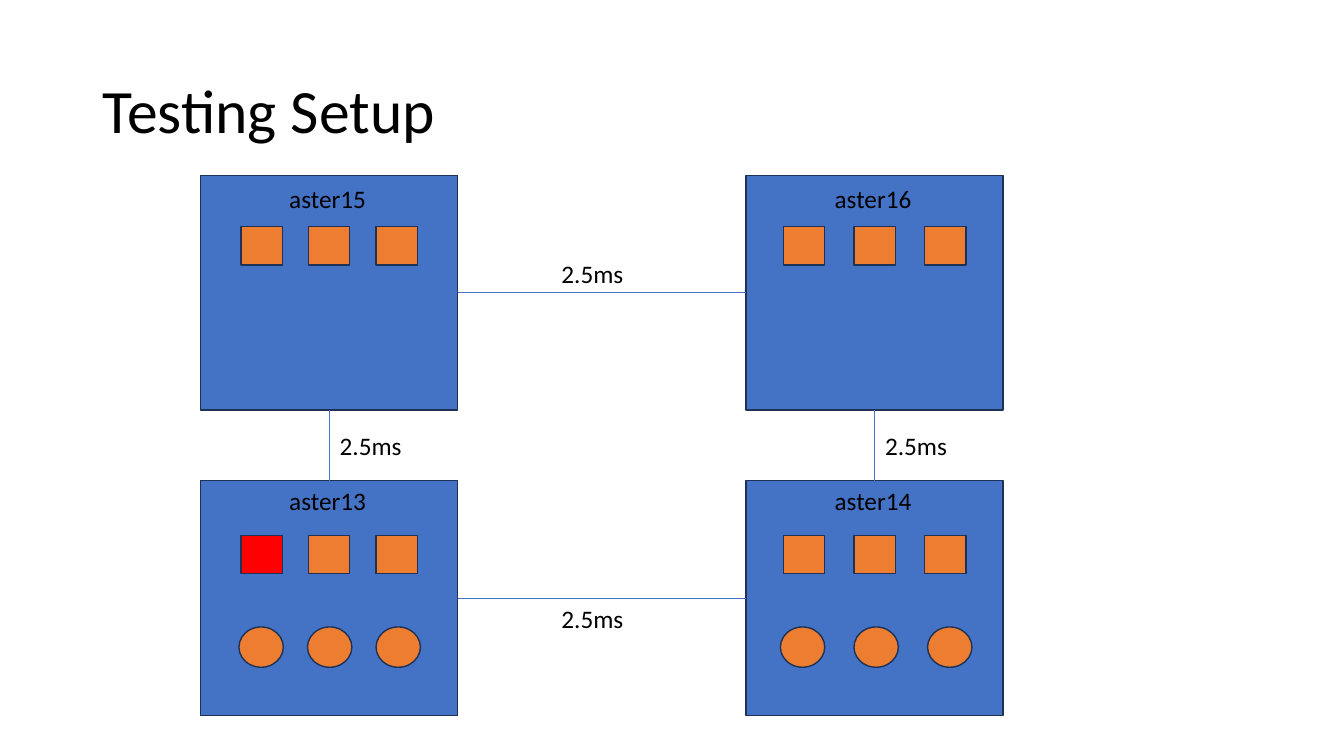
from pptx import Presentation
from pptx.dml.color import RGBColor
from pptx.enum.shapes import MSO_CONNECTOR, MSO_SHAPE
from pptx.enum.text import MSO_ANCHOR, MSO_AUTO_SIZE
from pptx.oxml.ns import qn
from pptx.util import Inches, Pt
from lxml.etree import SubElement

BLACK = RGBColor(0x00, 0x00, 0x00)
BLUE = RGBColor(0x44, 0x72, 0xC4)
NAVY = RGBColor(0x1E, 0x32, 0x56)
ORANGE = RGBColor(0xED, 0x7D, 0x31)
RED = RGBColor(0xFF, 0x00, 0x00)


class Diagram:
    font = "Calibri"

    def __init__(self, page):
        self.page = page

    def text(self, words, left, top, width=0.99, height=0.4, size=18):
        box = self.page.shapes.add_textbox(
            Inches(left), Inches(top), Inches(width), Inches(height))
        box.text_frame.word_wrap = True
        para = box.text_frame.paragraphs[0]
        para.text = words
        para.font.name = self.font
        para.font.size = Pt(size)
        para.font.color.rgb = BLACK
        return box

    def title(self, words):
        box = self.text(words, 0.92, 0.4, 11.5, 1.45, 44)
        box.text_frame.vertical_anchor = MSO_ANCHOR.MIDDLE
        box.text_frame.paragraphs[0].line_spacing = 0.9

    def label(self, words, left, top):
        box = self.text(words, left, top)
        box.text_frame.auto_size = MSO_AUTO_SIZE.SHAPE_TO_FIT_TEXT

    def shape(self, kind, left, top, width, height, fill):
        shape = self.page.shapes.add_shape(
            kind, Inches(left), Inches(top), Inches(width), Inches(height))
        shape.shadow.inherit = False
        shape.fill.solid()
        shape.fill.fore_color.rgb = fill
        shape.line.color.rgb = NAVY
        shape.line.width = Pt(1)
        return shape

    def row(self, kind, left, step, top, width, height, fills):
        for index, fill in enumerate(fills):
            self.shape(kind, left + index * step, top, width, height, fill)

    def link(self, start, start_site, end, end_site):
        line = self.page.shapes.add_connector(MSO_CONNECTOR.STRAIGHT, 0, 0, 0, 0)
        line.begin_connect(start, start_site)
        line.end_connect(end, end_site)
        line.line.color.rgb = BLUE
        line.line.width = Pt(0.5)
        SubElement(line._element.spPr, qn("a:effectLst"))


deck = Presentation()
deck.slide_width = Inches(13.33)
deck.slide_height = Inches(7.5)
diagram = Diagram(deck.slides.add_slide(deck.slide_layouts[6]))

diagram.title("Testing Setup")

# Hosts: name, left, top
HOST_WIDTH, HOST_HEIGHT = 2.55, 2.33
LEFT, RIGHT, UPPER, LOWER = 1.99, 7.4, 1.74, 4.77
HOSTS = [
    ("aster15", LEFT, UPPER),
    ("aster16", RIGHT, UPPER),
    ("aster13", LEFT, LOWER),
    ("aster14", RIGHT, LOWER),
]
hosts = {
    name: diagram.shape(MSO_SHAPE.RECTANGLE, left, top, HOST_WIDTH, HOST_HEIGHT, BLUE)
    for name, left, top in HOSTS
}

# Links, by connection site: 0 top, 1 left, 2 bottom, 3 right
for start, end in [("aster15", "aster16"), ("aster13", "aster14")]:
    diagram.link(hosts[start], 3, hosts[end], 1)
for start, end in [("aster15", "aster13"), ("aster16", "aster14")]:
    diagram.link(hosts[start], 2, hosts[end], 0)

# Link delays
for left, top in [(5.47, 2.51), (8.68, 4.22), (3.27, 4.22), (5.47, 5.94)]:
    diagram.label("2.5ms", left, top)

# Host names
NAME_TOP = {UPPER: 1.77, LOWER: 4.77}
for name, left, top in HOSTS:
    diagram.label(name, left + 0.78, NAME_TOP[top])

# Squares in every host, circles in the lower hosts: left, step
SQUARES = {LEFT: (2.39, 0.67), RIGHT: (7.77, 0.7)}
CIRCLES = {LEFT: (2.37, 0.68), RIGHT: (7.74, 0.73)}
SQUARE_TOP = {UPPER: 2.25, LOWER: 5.31}
for name, left, top in HOSTS:
    first = RED if name == "aster13" else ORANGE
    diagram.row(MSO_SHAPE.RECTANGLE, *SQUARES[left], SQUARE_TOP[top],
                0.41, 0.38, [first, ORANGE, ORANGE])
    if top == LOWER:
        diagram.row(MSO_SHAPE.FLOWCHART_CONNECTOR, *CIRCLES[left], 6.22,
                    0.44, 0.4, [ORANGE] * 3)

deck.save("out.pptx")
